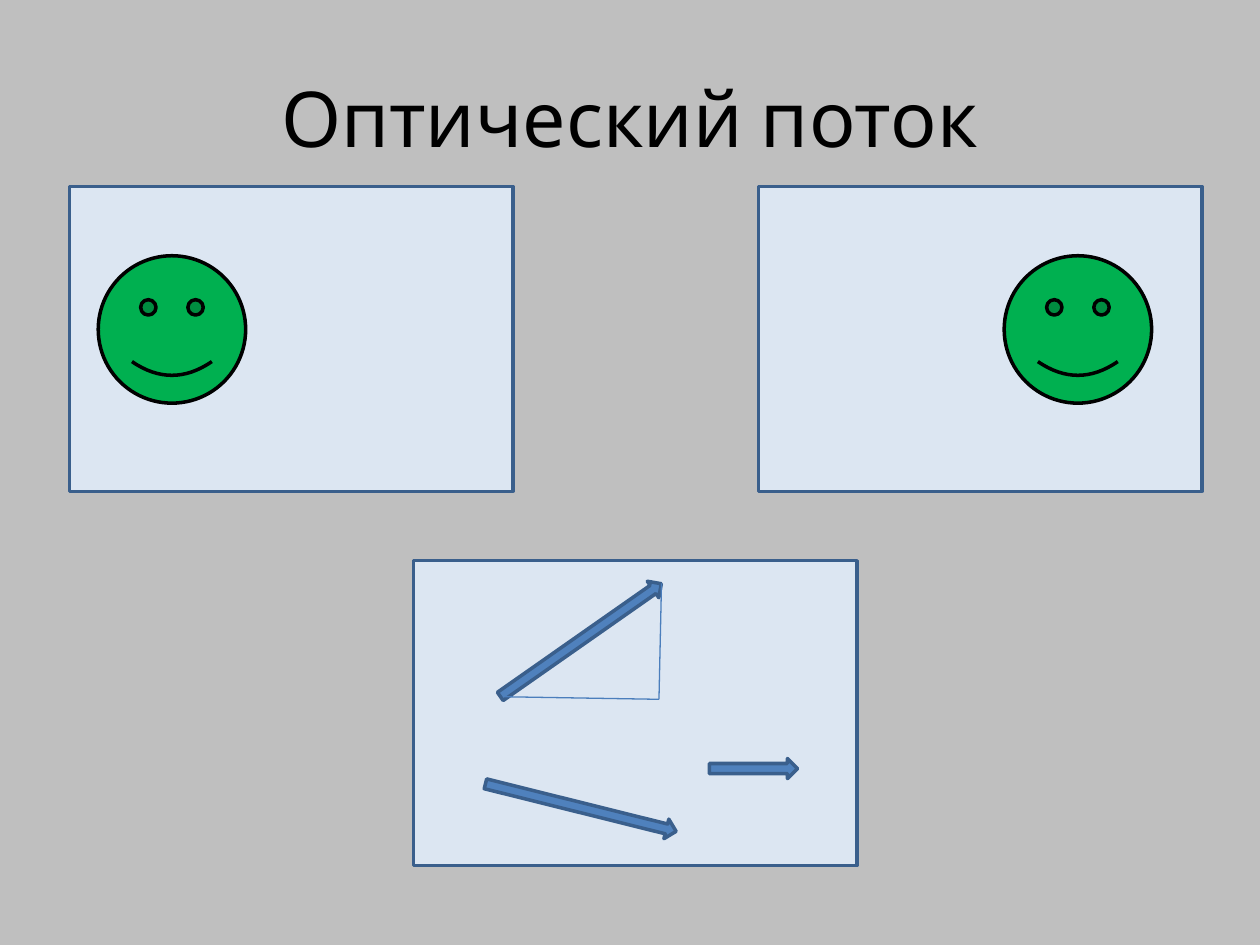
import pptx
import pptx.util
import pptx.dml.color
import pptx.enum.shapes
import pptx.enum.text
import pptx.oxml

deck = pptx.Presentation()
deck.slide_width = pptx.util.Inches(10)
deck.slide_height = pptx.util.Inches(7.5)
column = deck.slide_width / 100
row = deck.slide_height / 75
page = deck.slides.add_slide(deck.slide_layouts[6])
kinds = pptx.enum.shapes.MSO_SHAPE


def color(value):
    return pptx.dml.color.RGBColor.from_string(value)


def add_figure(kind, left, top, width, height, fill, outline="3A5F8C"):
    figure = page.shapes.add_shape(
        kind, round(left * column), round(top * row), round(width * column), round(height * row)
    )
    figure.shadow.inherit = False
    figure.fill.solid()
    figure.fill.fore_color.rgb = color(fill)
    figure.line.color.rgb = color(outline)
    figure.line.width = pptx.util.Pt(2)
    return figure


page.background.fill.solid()
page.background.fill.fore_color.rgb = color("BFBFBF")

title = page.shapes.add_textbox(
    round(5 * column), round(3 * row), round(90 * column), round(12.5 * row)
)
frame = title.text_frame
frame.word_wrap = True
frame.vertical_anchor = pptx.enum.text.MSO_ANCHOR.MIDDLE
frame.text = "Оптический поток"
para = frame.paragraphs[0]
para.alignment = pptx.enum.text.PP_ALIGN.CENTER
span = para.runs[0]
span.font.name = "Karla"
span.font.size = pptx.util.Pt(44)
span.font.color.rgb = color("000000")

for left, top in [(5.5, 14.8), (60.2, 14.8), (32.8, 44.5)]:
    add_figure(kinds.RECTANGLE, left, top, 35.2, 24.2, "DCE6F2")

for left in (7.8, 79.7):
    add_figure(kinds.SMILEY_FACE, left, 20.3, 11.7, 11.7, "00B050", "000000")

for left, top, length, angle in [
    (38.3, 50, 15.6, 325),
    (56.3, 60.2, 7, 0),
    (38.3, 63.3, 15.6, 14),
]:
    arrow = add_figure(kinds.RIGHT_ARROW, left, top, length, 1.6, "4F81BD")
    arrow.rotation = angle

corners = [(40.1, 55.3), (52.3, 55.5), (52.5, 46.3)]
for start, end in zip(corners, corners[1:]):
    leg = page.shapes.add_connector(
        pptx.enum.shapes.MSO_CONNECTOR.STRAIGHT,
        round(start[0] * column),
        round(start[1] * row),
        round(end[0] * column),
        round(end[1] * row),
    )
    leg.line.color.rgb = color("4B7EBC")
    leg.line.width = pptx.util.Pt(0.75)
    leg.element.spPr.append(pptx.oxml.parse_xml(
        '<a:effectLst xmlns:a="http://schemas.openxmlformats.org/drawingml/2006/main"/>'
    ))

deck.save("out.pptx")
